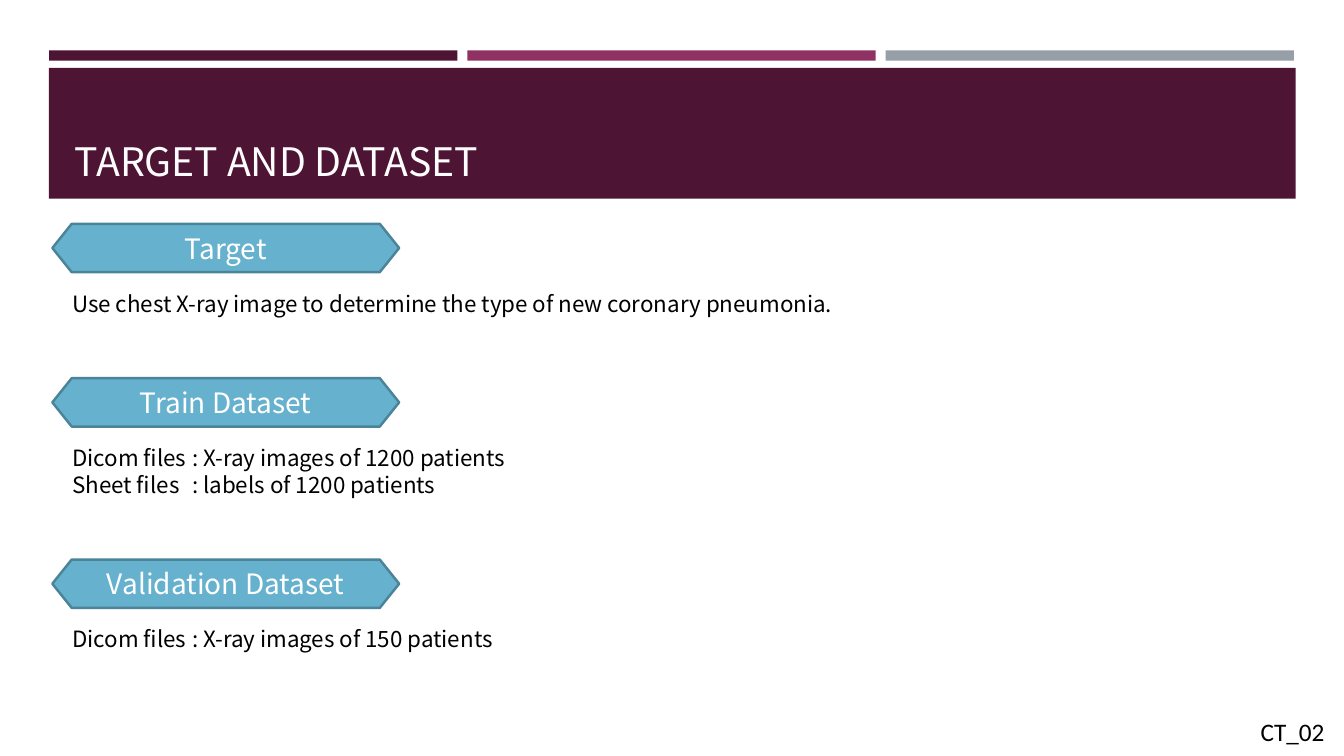
from lxml import etree
from pptx import Presentation
from pptx.dml.color import RGBColor
from pptx.enum.shapes import MSO_SHAPE
from pptx.enum.text import MSO_ANCHOR, PP_ALIGN
from pptx.oxml.ns import qn
from pptx.util import Cm, Pt

RECTANGLE, HEXAGON = MSO_SHAPE.RECTANGLE, MSO_SHAPE.HEXAGON
TOP, MIDDLE, BOTTOM = MSO_ANCHOR.TOP, MSO_ANCHOR.MIDDLE, MSO_ANCHOR.BOTTOM
LEFT, CENTER = PP_ALIGN.LEFT, PP_ALIGN.CENTER

FONT, FOOTER_FONT = "Noto Sans CJK TC", "Calibri"
PLUM, MAGENTA, GREY = "4D1434", "903163", "969FA7"
BLUE, DARK_BLUE, WHITE, BLACK = "66B1CE", "4B8398", "FFFFFF", "000000"

TITLE = "TARGET AND DATASET"
FOOTER = "CT_02"
BAR_COLORS = [PLUM, MAGENTA, GREY]
# heading, top of its hexagon in cm, lines below it
SECTIONS = [
    ("Target", 5.64,
     ["Use chest X-ray image to determine the type of new coronary pneumonia."]),
    ("Train Dataset", 9.53,
     ["Dicom files\t: X-ray images of 1200 patients",
      "Sheet files\t: labels of 1200 patients"]),
    ("Validation Dataset", 14.1,
     ["Dicom files\t: X-ray images of 150 patients"]),
]
BAR_LEFT, BAR_TOP, BAR_WIDTH, BAR_HEIGHT, BAR_PITCH = 1.24, 1.27, 10.29, 0.26, 10.54
HEADING_LEFT, HEADING_WIDTH, HEADING_HEIGHT = 1.32, 8.74, 1.22
BODY_LEFT, BODY_OFFSET, BODY_WIDTH, LINE_HEIGHT = 1.57, 1.53, 26.77, 0.68
COLON_TAB = 3.02


def color(hex_string):
    return RGBColor.from_string(hex_string)


def write(shape, lines, size, hex_color, font=FONT, align=LEFT, anchor=TOP,
          wrap=True, margins=(0.25, 0.13), tab=None):
    frame = shape.text_frame
    frame.word_wrap = wrap
    frame.vertical_anchor = anchor
    frame.margin_left = frame.margin_right = Cm(margins[0])
    frame.margin_top = frame.margin_bottom = Cm(margins[1])
    for index, line in enumerate(lines):
        paragraph = frame.paragraphs[0] if index == 0 else frame.add_paragraph()
        paragraph.alignment = align
        run = paragraph.add_run()
        run.text = line
        run.font.name = font
        run.font.size = Pt(size)
        run.font.color.rgb = color(hex_color)
        if tab and "\t" in line:
            properties = paragraph._p.get_or_add_pPr()
            tab_list = etree.SubElement(properties, qn("a:tabLst"))
            etree.SubElement(tab_list, qn("a:tab"), pos=str(Cm(tab)), algn="l")


def add_block(slide, kind, left, top, width, height, fill, line=None):
    shape = slide.shapes.add_shape(kind, Cm(left), Cm(top), Cm(width), Cm(height))
    shape.shadow.inherit = False
    shape.fill.solid()
    shape.fill.fore_color.rgb = color(fill)
    if line:
        shape.line.color.rgb = color(line)
        shape.line.width = Pt(1.75)
    else:
        shape.line.fill.background()
    return shape


def add_text(slide, left, top, width, height, lines, **text_format):
    box = slide.shapes.add_textbox(Cm(left), Cm(top), Cm(width), Cm(height))
    write(box, lines, **text_format)


def add_title(slide):
    title = slide.shapes.title
    title.left, title.top, title.width, title.height = Cm(1.63), Cm(1.96), Cm(30.63), Cm(2.82)
    write(title, [TITLE], size=28, hex_color="FFFEFF", anchor=BOTTOM)
    # the title lies in front of the banner
    slide.shapes._spTree.append(title._element)


def add_section(slide, heading, top, lines):
    hexagon = add_block(slide, HEXAGON, HEADING_LEFT, top, HEADING_WIDTH,
                        HEADING_HEIGHT, BLUE, DARK_BLUE)
    hexagon.adjustments[0] = 0.4
    write(hexagon, [heading], size=20, hex_color=WHITE, align=CENTER,
          anchor=MIDDLE, wrap=False, margins=(0, 0))
    add_text(slide, BODY_LEFT, top + BODY_OFFSET, BODY_WIDTH,
             LINE_HEIGHT * len(lines) + 0.26, lines,
             size=16, hex_color=BLACK, tab=COLON_TAB)


def main():
    presentation = Presentation()
    presentation.slide_width, presentation.slide_height = Cm(33.87), Cm(19.05)
    slide = presentation.slides.add_slide(presentation.slide_layouts[5])
    for index, fill in enumerate(BAR_COLORS):
        add_block(slide, RECTANGLE, BAR_LEFT + index * BAR_PITCH, BAR_TOP,
                  BAR_WIDTH, BAR_HEIGHT, fill)
    add_block(slide, RECTANGLE, 1.23, 1.71, 31.42, 3.3, PLUM)
    add_title(slide)
    for section in SECTIONS:
        add_section(slide, *section)
    add_text(slide, 31.52, 17.91, 2.34, 1.02, [FOOTER], size=18,
             hex_color=BLACK, font=FOOTER_FONT, wrap=False)
    presentation.save("out.pptx")


if __name__ == "__main__":
    main()
